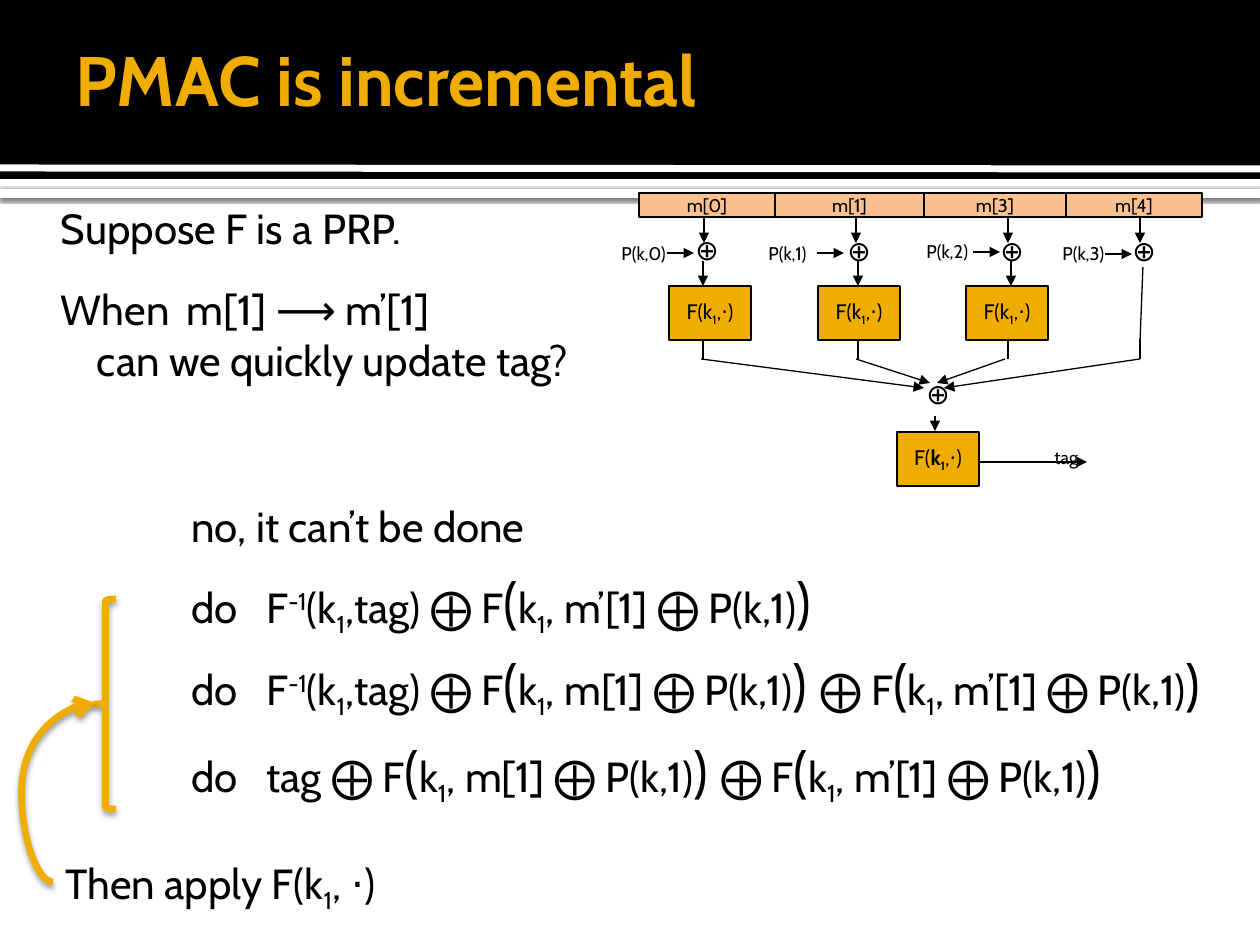
import pptx
import pptx.util
import pptx.dml.color
import pptx.enum.shapes
import pptx.enum.text
import pptx.oxml
import pptx.oxml.ns
import lxml.etree

PX = 914400 // 126
COLORS = {"black": "000000", "white": "FFFFFF", "gold": "F0AD00", "peach": "FAC090"}
SHAPE = pptx.enum.shapes.MSO_SHAPE
CONNECTOR = pptx.enum.shapes.MSO_CONNECTOR
ALIGN = pptx.enum.text.PP_ALIGN
ANCHOR = pptx.enum.text.MSO_ANCHOR
RGB = pptx.dml.color.RGBColor.from_string
Pt = pptx.util.Pt
qn = pptx.oxml.ns.qn
sub = lxml.etree.SubElement


def write(sp, text, size=24, color="black", bold=False, align=ALIGN.LEFT,
          anchor=ANCHOR.TOP, wrap=True, tab=None, indent=0, before=0):
    """Add a paragraph; '|' parts runs, opened by _ sub, ^ super, * large, ! bold."""
    tf = sp.text_frame
    tf.word_wrap, tf.vertical_anchor = wrap, anchor
    tf.auto_size = pptx.enum.text.MSO_AUTO_SIZE.NONE
    p = tf.add_paragraph() if tf.text else tf.paragraphs[0]
    pPr = p._p.get_or_add_pPr()
    if sp.is_placeholder:
        pPr.set("marL", str(indent * PX))
        pPr.set("indent", "0")
        sub(pPr, qn("a:buNone"))
    if tab:
        sub(sub(pPr, qn("a:tabLst")), qn("a:tab"), pos=str(tab * PX), algn="l")
    p.alignment, p.space_before = align, Pt(before)
    for part in text.split("|"):
        r = p.add_run()
        r.text = part.lstrip("!_^*")
        marks = part[:len(part) - len(r.text)]
        r.font.name = "Cabin"
        r.font.size = Pt(32 if "*" in marks else size)
        r.font.bold = bold or "!" in marks
        r.font.color.rgb = RGB(COLORS[color])
        if "_" in marks or "^" in marks:
            r._r.get_or_add_rPr().set("baseline", "-25000" if "_" in marks else "30000")


def line(x1, y1, x2, y2, color="black", width=0.75, head=None, kind=CONNECTOR.STRAIGHT):
    c = s.shapes.add_connector(kind, x1 * PX, y1 * PX, x2 * PX, y2 * PX)
    c.line.color.rgb = RGB(COLORS[color])
    c.line.width = Pt(width)
    if head:
        sub(c.line._get_or_add_ln(), qn("a:tailEnd"), type=head)
    sub(c._element.spPr, qn("a:effectLst"))
    return c


prs = pptx.Presentation()
prs.slide_width, prs.slide_height = 1260 * PX, 945 * PX
s = prs.slides.add_slide(prs.slide_layouts[1])
title, body = s.shapes.title, s.placeholders[1]

# Header bands
bands = []
for y, h, fill in [(189, 9, "white"), (0, 179, "black")]:
    sp = s.shapes.add_shape(SHAPE.RECTANGLE, 0, y * PX, 1260 * PX, h * PX)
    sp.shadow.inherit = False
    sp.fill.solid()
    sp.fill.fore_color.rgb = RGB(COLORS[fill])
    sp.line.fill.background()
    bands.append(sp)
line(0, 168, 1260, 169, "white", 4)

# Body and title, placed in front of the bands
for sp, box, insets in [(body, (53, 189, 1176, 703), (8, 13, 13, 6)),
                        (title, (63, 10, 1040, 136), (13, 6, 6, 6))]:
    s.shapes._spTree.append(sp._element)
    sp.left, sp.top, sp.width, sp.height = [v * PX for v in box]
    tf = sp.text_frame
    tf.margin_left, tf.margin_top, tf.margin_right, tf.margin_bottom = [v * PX for v in insets]
write(title, "PMAC is incremental", size=40, color="gold", bold=True, anchor=ANCHOR.MIDDLE)
write(body, "Suppose F is a PRP.")
write(body, "When\tm[1] ⟶ m’[1]", tab=135, before=18)
write(body, "can we quickly update tag?", indent=36)

# Message blocks and PRP boxes
edges = [639, 775, 924, 1066, 1202]
prp = "F(k|_1|,⋅)"
boxes = [(x, 193, end - x, 24, "peach", label, 10.5)
         for x, end, label in zip(edges, edges[1:], ["m[0]", "m[1]", "m[3]", "m[4]"])]
boxes += [(x, 286, 82, 54, "gold", prp, 12) for x in (669, 818, 966)]
boxes.append((897, 432, 82, 54, "gold", "F(|!k|!_1|,⋅)", 12))
for x, y, w, h, fill, label, size in boxes:
    sp = s.shapes.add_shape(SHAPE.RECTANGLE, x * PX, y * PX, w * PX, h * PX)
    sp.shadow.inherit = False
    sp.fill.solid()
    sp.fill.fore_color.rgb = RGB(COLORS[fill])
    sp.line.color.rgb = RGB(COLORS["black"])
    sp.line.width = Pt(0.75)
    write(sp, label, size=size, align=ALIGN.CENTER, anchor=ANCHOR.MIDDLE, wrap=False)

# Diagram labels
labels = [(x, y, 47, 47, "⊕", 16) for x, y in
          [(683, 226), (835, 227), (988, 227), (1120, 227), (914, 370)]]
labels += [(x, y, 70, 35, f"P(k,{i})", 10.5) for i, (x, y) in
           enumerate([(609, 236), (756, 236), (914, 234), (1050, 236)])]
labels.append((1042, 440, 50, 35, "tag", 10.5))
for x, y, w, h, label, size in labels:
    sp = s.shapes.add_textbox(x * PX, y * PX, w * PX, h * PX)
    write(sp, label, size=size, wrap=False)

# Arrows: block to XOR, XOR to PRP, mask to XOR, merge, output
arrows = [(x, 218, x, 243) for x in (704, 856, 1008, 1140)]
arrows += [(x, 261, x, 286) for x in (703, 858, 1011)]
arrows += [(x, y, x + 27, y) for x, y in [(667, 253), (817, 253), (973, 252), (1105, 254)]]
arrows += [(701, 359, 924, 388), (856, 359, 930, 383), (1005, 359, 937, 383),
           (1140, 359, 944, 388), (935, 416, 935, 431), (978, 462, 1087, 462)]
for ends in arrows:
    line(*ends, head="triangle")

# Plain stems below the PRP row
for x in (703, 858, 1008, 1140):
    line(x, 339, x, 359)
line(1143, 267, 1140, 343)

# Answer choices and closing step
old = "F|*(|k|_1|, m[1] ⨁ P(k,1)|*) |⨁ "
new = "F|*(|k|_1|, m’[1] ⨁ P(k,1)|*)"
inverse = "do\tF|^-1|(k|_1|,tag) ⨁ "
for x, y, w, h, text in [
        (179, 494, 358, 63, "no, it can’t be done"),
        (179, 561, 685, 81, inverse + new),
        (179, 643, 1081, 81, inverse + old + new),
        (179, 730, 980, 81, "do\ttag ⨁ " + old + new),
        (53, 851, 360, 63, "Then apply F(k|_1|, ⋅)")]:
    sp = s.shapes.add_textbox(x * PX, y * PX, w * PX, h * PX)
    write(sp, text, tab=75 if "\t" in text else None)

# Brace around the choices and the curve leading to it
brace = s.shapes.add_shape(SHAPE.LEFT_BRACE, 95 * PX, 599 * PX, 21 * PX, 210 * PX)
brace.shadow.inherit = False
brace.fill.background()
brace.line.color.rgb = RGB(COLORS["gold"])
brace.line.width = Pt(3.78)
curve = line(53, 882, 95, 703, "gold", 3.78, "arrow", CONNECTOR.CURVE)
geometry = curve._element.spPr.find(qn("a:prstGeom"))
sub(geometry.find(qn("a:avLst")), qn("a:gd"), name="adj1", fmla="val -75000")

# Soft shadows
for sp, blur, dist, alpha in [(bands[0], 2.5, 0.8, 60), (brace, 3.5, 2, 38), (curve, 3.5, 2, 38)]:
    effects = sp._element.spPr.find(qn("a:effectLst"))
    shadow = sub(effects, qn("a:outerShdw"), blurRad=str(Pt(blur)), dist=str(Pt(dist)),
                 dir="5400000", algn="t", rotWithShape="0")
    tint = sub(shadow, qn("a:srgbClr"), val=COLORS["black"])
    sub(tint, qn("a:alpha"), val=str(alpha * 1000))

prs.save("out.pptx")
